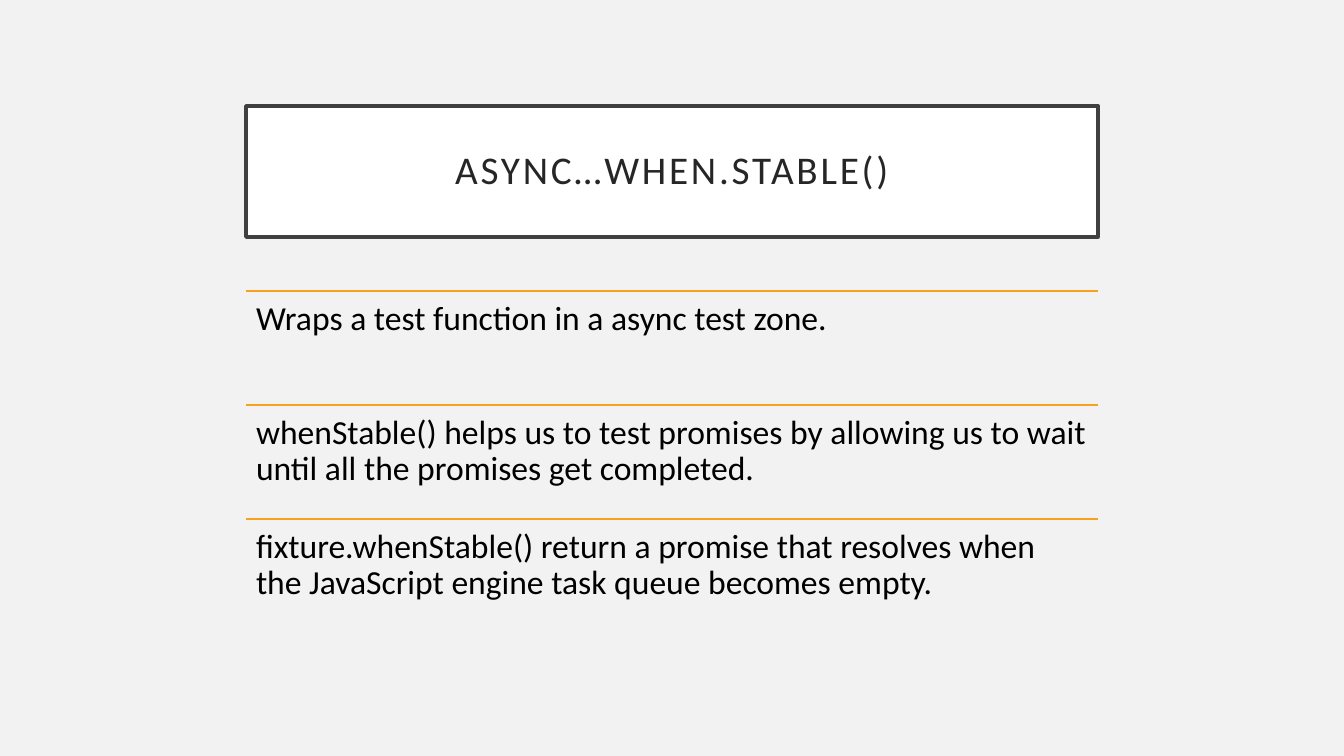
import dataclasses

import pptx
import pptx.dml.color
import pptx.enum.shapes
import pptx.enum.text
import pptx.oxml.ns
import pptx.util

PX = 914400 / 100.8
ANCHOR = pptx.enum.text.MSO_ANCHOR
ALIGN = pptx.enum.text.PP_ALIGN


@dataclasses.dataclass(frozen=True)
class Theme:
    background: str = "F2F2F2"
    title_fill: str = "FFFFFF"
    title_border: str = "404040"
    title_text: str = "262626"
    rule: str = "F6A21D"
    body_text: str = "000000"
    font: str = "Calibri"
    title_size: int = 28
    body_size: int = 24
    border_width: float = 2.5
    rule_width: int = 1


THEME = Theme()
TITLE = "ASYNC…WHEN.STABLE()"
POINTS = [
    "Wraps a test function in a async test zone.",
    "whenStable() helps us to test promises by allowing us to wait until all the promises get completed.",
    "fixture.whenStable() return a promise that resolves when the JavaScript engine task queue becomes empty.",
]


def px(n):
    return pptx.util.Emu(round(n * PX))


def rgb(color):
    return pptx.dml.color.RGBColor.from_string(color)


def set_attrs(obj, values):
    for name, value in values.items():
        setattr(obj, name, value)


def fill_solid(fill, color):
    fill.solid()
    fill.fore_color.rgb = rgb(color)


def set_line(line, color, width):
    fill_solid(line.fill, color)
    line.width = pptx.util.Pt(width)


def write_text(sp, text, size, color, inset, anchor, align):
    tf = sp.text_frame
    sides = ("left", "top", "right", "bottom")
    set_attrs(tf, {f"margin_{side}": px(inset) for side in sides})
    set_attrs(tf, {
        "word_wrap": True,
        "auto_size": pptx.enum.text.MSO_AUTO_SIZE.NONE,
        "vertical_anchor": anchor,
    })
    p = tf.paragraphs[0]
    set_attrs(p, {"alignment": align, "line_spacing": 0.9})
    r = p.add_run()
    r.text = text
    set_attrs(r.font, {"name": THEME.font, "size": pptx.util.Pt(size)})
    r.font.color.rgb = rgb(color)
    return r


def add_title(s, text, x, y, w, h):
    sp = s.shapes.title
    set_attrs(sp, {"left": px(x), "top": px(y), "width": px(w), "height": px(h)})
    fill_solid(sp.fill, THEME.title_fill)
    set_line(sp.line, THEME.title_border, THEME.border_width)
    r = write_text(sp, text, THEME.title_size, THEME.title_text, 20,
                   ANCHOR.MIDDLE, ALIGN.CENTER)
    r.font._element.set("spc", "200")


def add_ruled_list(s, points, x, y, w, h):
    shapes = s.shapes.add_group_shape().shapes
    row_h = h / len(points)
    for i, point in enumerate(points):
        top = y + i * row_h
        rule = shapes.add_connector(pptx.enum.shapes.MSO_CONNECTOR.STRAIGHT,
                                    px(x), px(top), px(x + w), px(top))
        set_line(rule.line, THEME.rule, THEME.rule_width)
        effects = pptx.oxml.ns.qn("a:effectLst")
        rule._element.spPr.append(rule._element.makeelement(effects, {}))
        sp = shapes.add_textbox(px(x), px(top), px(w), px(row_h))
        write_text(sp, point, THEME.body_size, THEME.body_text, 10,
                   ANCHOR.TOP, ALIGN.LEFT)


def main():
    prs = pptx.Presentation()
    set_attrs(prs, {"slide_width": px(1344), "slide_height": px(756)})
    s = prs.slides.add_slide(prs.slide_layouts[5])
    fill_solid(s.background.fill, THEME.background)
    add_title(s, TITLE, 246, 106, 852, 131)
    add_ruled_list(s, POINTS, 246, 291, 852, 342)
    prs.save("out.pptx")


if __name__ == "__main__":
    main()
